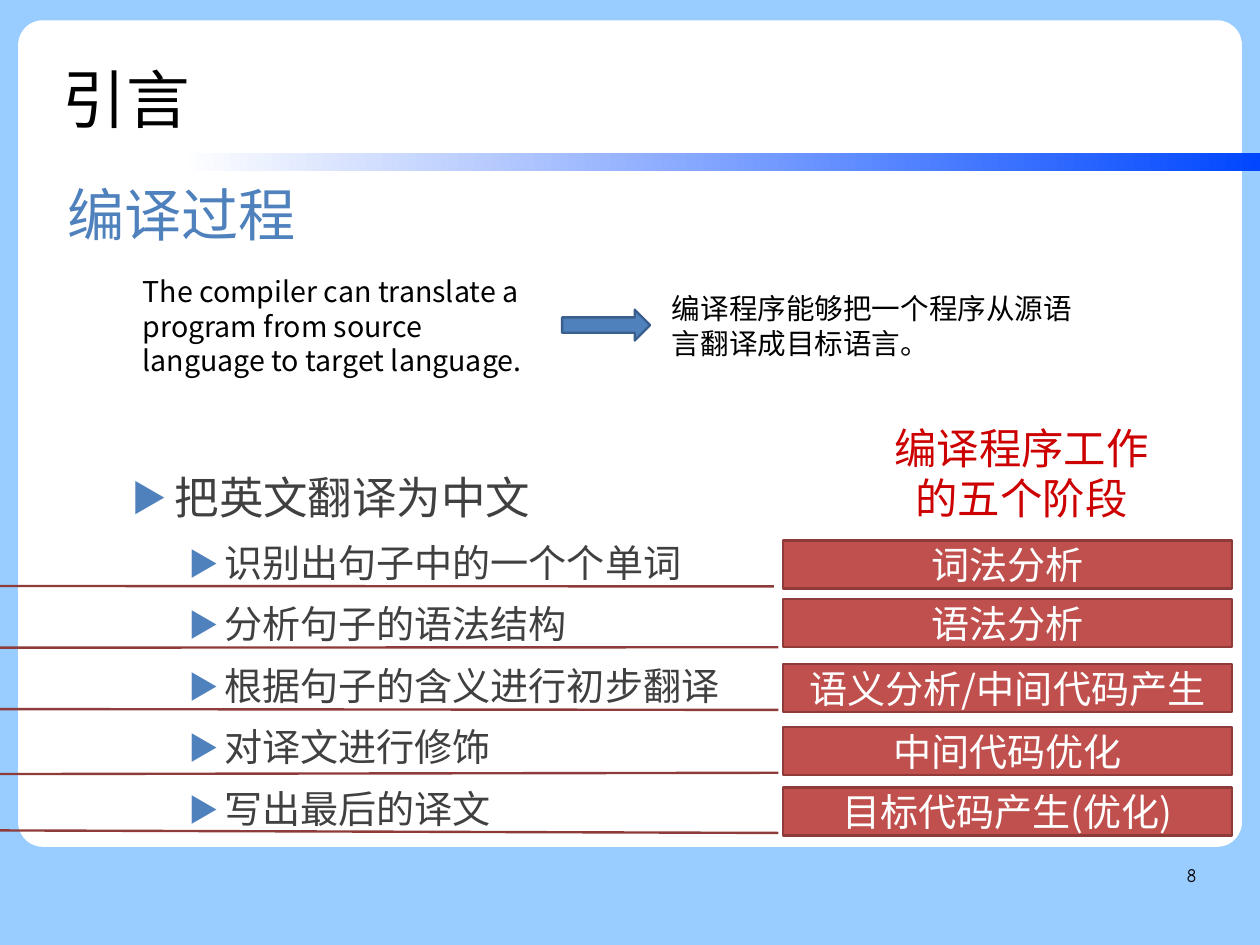
from dataclasses import dataclass

from lxml.etree import SubElement
from pptx import Presentation
from pptx.dml.color import RGBColor
from pptx.enum.shapes import MSO_SHAPE as Shape
from pptx.enum.text import MSO_ANCHOR as Anchor, MSO_AUTO_SIZE as AutoSize, PP_ALIGN as Align
from pptx.oxml.ns import qn
from pptx.util import Pt

TITLE = "引言"
SUBTITLE = "编译过程"
ENGLISH = "The compiler can translate a program from source language to target language."
CHINESE = "编译程序能够把一个程序从源语言翻译成目标语言。"
STAGES_HEADING = ["编译程序工作", "的五个阶段"]
TASK = "把英文翻译为中文"
STAGES = [
    ("识别出句子中的一个个单词", "词法分析", 340.4, (0.96, -0.02, 0.95, -1.97)),
    ("分析句子的语法结构", "语法分析", 377.2, (1.01, -0.01, 1.02, -1.97)),
    ("根据句子的含义进行初步翻译", "语义分析/中间代码产生", 418.2, (0.96, -0.01, 0.94, -1.97)),
    ("对译文进行修饰", "中间代码优化", 457.8, (0.96, -0.01, 0.99, -1.98)),
    ("写出最后的译文", "目标代码产生(优化)", 496, (0.95, -0.01, 0.89, -1.98)),
]
PAGE = "8"
WIDTH, HEIGHT = 793.75, 595.25
CALLOUT_LEFT, CALLOUT_WIDTH, CALLOUT_HEIGHT = 493.2, 283, 30.2
LEVEL_INDENTS = [(27.4, -27.4), (58.5, -22.5)]


@dataclass(frozen=True)
class Theme:
    """Colours, fonts and type sizes of the slide."""
    sky: str = "99CCFF"
    white: str = "FFFFFF"
    black: str = "000000"
    gray: str = "404040"
    blue: str = "4F81BD"
    blue_edge: str = "3A5F8C"
    bar_blue: str = "0047FF"
    red: str = "C0504D"
    red_edge: str = "8E3B39"
    heading_red: str = "CC0000"
    heading_font: str = "Arial"
    body_font: str = "Noto Sans CJK SC"
    page_font: str = "Comic Neue"
    title: float = 40
    subtitle: float = 36
    task: float = 28
    heading: float = 26.7
    stage: float = 24
    example: float = 18
    page: float = 12
    leading: float = 1.2


THEME = Theme()


def rgb(value):
    """Return a colour from its hex string."""
    return RGBColor.from_string(value)


def style(paragraph, size, color, name=THEME.body_font, align=Align.LEFT):
    """Set font, alignment and line pitch of a paragraph."""
    paragraph.alignment = align
    paragraph.line_spacing = Pt(size * THEME.leading)
    font = paragraph.font
    font.size, font.name = Pt(size), name
    font.color.rgb = rgb(color)
    east_asian = name if name != THEME.page_font else THEME.body_font
    SubElement(font._element, qn("a:ea"), typeface=east_asian)


def add_bullet(paragraph, level):
    """Give a paragraph its triangle bullet and hanging indent."""
    paragraph.level = level
    properties = paragraph._p.get_or_add_pPr()
    margin, indent = LEVEL_INDENTS[level]
    properties.set("marL", str(Pt(margin)))
    properties.set("indent", str(Pt(indent)))
    color = SubElement(properties, qn("a:buClr"))
    SubElement(color, qn("a:srgbClr"), val=THEME.blue)
    SubElement(properties, qn("a:buSzPct"), val="80000")
    SubElement(properties, qn("a:buFont"), typeface=THEME.body_font)
    SubElement(properties, qn("a:buChar"), char="▶")


def set_margins(frame, horizontal, vertical):
    """Set the insets of a text frame."""
    frame.margin_left = frame.margin_right = Pt(horizontal)
    frame.margin_top = frame.margin_bottom = Pt(vertical)


def add_text(slide, box, lines, *look, anchor=Anchor.TOP, **options):
    """Add a wrapped text box of equally styled lines."""
    frame = slide.shapes.add_textbox(*map(Pt, box)).text_frame
    frame.word_wrap, frame.vertical_anchor = True, anchor
    frame.text = "\n".join(lines)
    for paragraph in frame.paragraphs:
        style(paragraph, *look, **options)
    return frame


def add_block(slide, kind, box, fill, line=None):
    """Add a flat shape with an optional outline."""
    shape = slide.shapes.add_shape(kind, *map(Pt, box))
    shape.shadow.inherit = False
    shape.fill.solid()
    shape.fill.fore_color.rgb = rgb(fill)
    if line:
        shape.line.color.rgb = rgb(line)
        shape.line.width = Pt(1.5)
    else:
        shape.line.fill.background()
    return shape


def add_backdrop(slide):
    """Add the background, white panel and gradient bar."""
    slide.background.fill.solid()
    slide.background.fill.fore_color.rgb = rgb(THEME.sky)
    panel = add_block(slide, Shape.ROUNDED_RECTANGLE, (11.4, 12.8, 771, 520.6), THEME.white)
    panel.adjustments[0] = 0.03
    bar = add_block(slide, Shape.RECTANGLE, (113, 96.5, WIDTH - 113, 11.5), THEME.white)
    bar.fill.gradient()
    bar.fill.gradient_angle = 0
    for stop, color in zip(bar.fill.gradient_stops, (THEME.white, THEME.bar_blue)):
        stop.color.rgb = rgb(color)


def add_title(slide):
    """Place the title above the backdrop."""
    title = slide.shapes.title
    slide.shapes._spTree.append(title._element)
    title.left, title.top, title.width, title.height = map(Pt, (39.6, 25.7, 617.8, 72.7))
    frame = title.text_frame
    frame.text = TITLE
    frame.auto_size, frame.vertical_anchor = AutoSize.NONE, Anchor.MIDDLE
    set_margins(frame, 0, 0)
    style(frame.paragraphs[0], THEME.title, THEME.black, THEME.heading_font)


def add_tasks(slide):
    """Add the bulleted translation steps."""
    frame = slide.shapes.add_textbox(*map(Pt, (75.6, 292.3, 612, 246.2))).text_frame
    frame.word_wrap = True
    frame.text = "\n".join([TASK] + [stage[0] for stage in STAGES])
    for index, paragraph in enumerate(frame.paragraphs):
        add_bullet(paragraph, min(index, 1))
        if index:
            paragraph.space_before = Pt(10)
        style(paragraph, THEME.stage if index else THEME.task, THEME.gray)


def add_callout(slide, label, top, pointer):
    """Add a stage box with its leader line."""
    box = (CALLOUT_LEFT, top, CALLOUT_WIDTH, CALLOUT_HEIGHT)
    callout = add_block(slide, Shape.LINE_CALLOUT_1, box, THEME.red, THEME.red_edge)
    for index, value in enumerate(pointer):
        callout.adjustments[index] = value
    frame = callout.text_frame
    frame.text = label
    frame.word_wrap, frame.vertical_anchor = False, Anchor.MIDDLE
    set_margins(frame, 9.4, 5)
    style(frame.paragraphs[0], THEME.stage, THEME.white, align=Align.CENTER)


def main():
    """Build and save the slide."""
    presentation = Presentation()
    presentation.slide_width, presentation.slide_height = Pt(WIDTH), Pt(HEIGHT)
    slide = presentation.slides.add_slide(presentation.slide_layouts[5])
    add_backdrop(slide)
    add_title(slide)
    add_text(slide, (35.3, 82.1, 621.4, 104.4), [SUBTITLE], THEME.subtitle, THEME.blue,
             anchor=Anchor.MIDDLE)
    add_tasks(slide)
    add_text(slide, (555.8, 262.1, 175.7, 72), STAGES_HEADING, THEME.heading,
             THEME.heading_red, THEME.heading_font, Align.CENTER)
    for _, label, top, pointer in STAGES:
        add_callout(slide, label, top, pointer)
    add_text(slide, (82.8, 169.2, 271.4, 72.7), [ENGLISH], THEME.example, THEME.black)
    add_text(slide, (416.2, 180, 271.4, 51.1), [CHINESE], THEME.example, THEME.black)
    add_block(slide, Shape.RIGHT_ARROW, (354.2, 195.1, 55.4, 19.4), THEME.blue, THEME.blue_edge)
    page = add_text(slide, (568.8, 544.1, 185, 41), [PAGE], THEME.page, THEME.black,
                    THEME.page_font, Align.RIGHT)
    set_margins(page, 0, 0)
    presentation.save("out.pptx")


if __name__ == "__main__":
    main()
